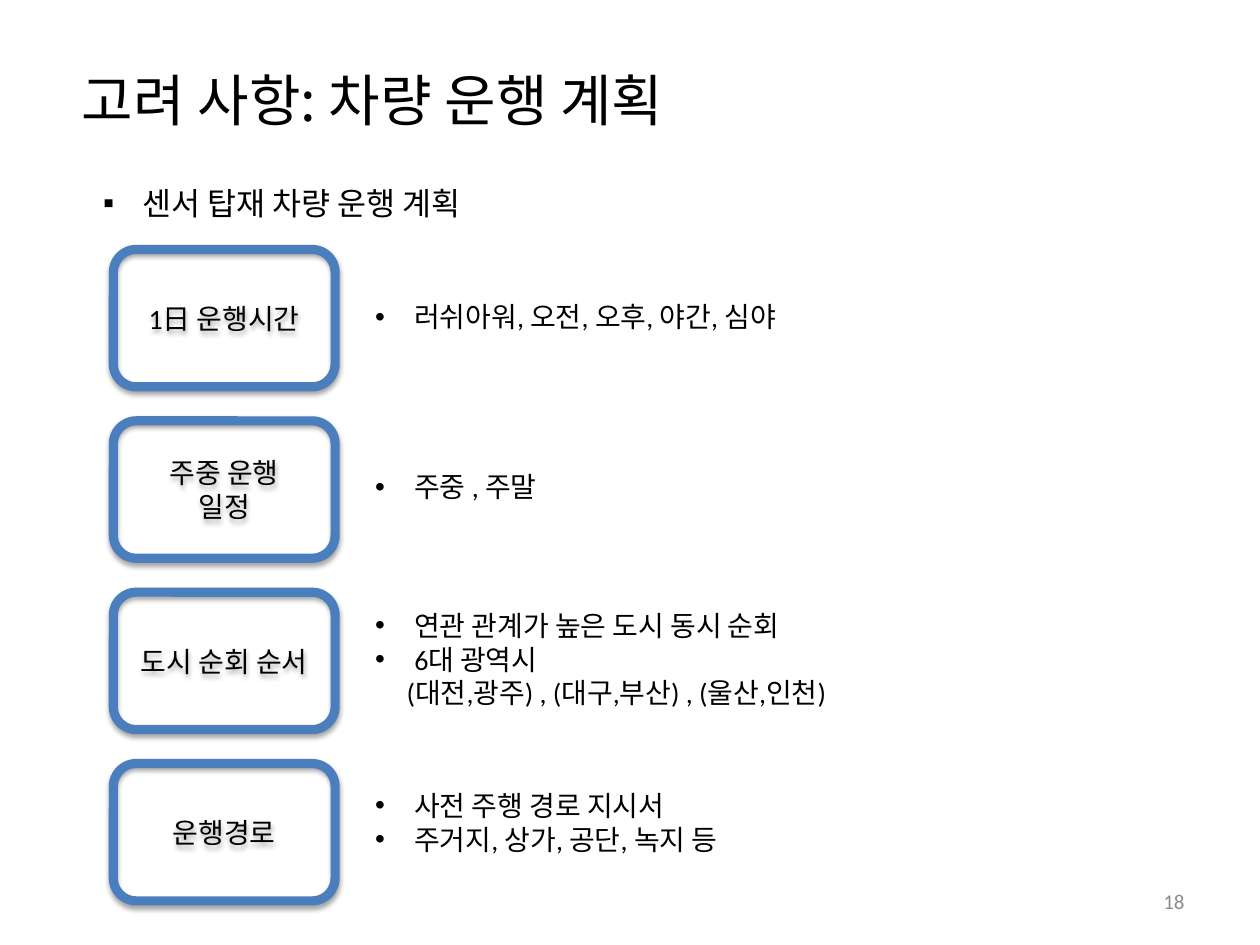
from lxml.etree import SubElement
from pptx import Presentation
from pptx.dml.color import RGBColor
from pptx.enum.shapes import MSO_SHAPE
from pptx.enum.text import MSO_ANCHOR, PP_ALIGN
from pptx.oxml.ns import qn
from pptx.util import Inches, Pt

THEME = {
    "black": RGBColor.from_string("000000"),
    "grey": RGBColor.from_string("8C8C8C"),
    "blue": RGBColor.from_string("4B7EBC"),
    "latin": "Calibri",
    "korean": "Noto Sans CJK KR",
    "title": Pt(32),
    "lead": Pt(18),
    "body": Pt(16),
    "number": Pt(12),
    "border": Pt(5.25),
}
LABEL_LEFT, LABEL_WIDTH, LABEL_HEIGHT = 0.9, 1.76, 1.09
FIRST_ROW, ROW_PITCH = 1.98, 1.36
DETAIL_LEFT, DETAIL_WIDTH = 2.88, 6.03
HANGING, CONTINUED = Inches(0.31), Inches(0.25)


def write(shape, lines, size, color="black", latin="latin", align=PP_ALIGN.LEFT,
          anchor=MSO_ANCHOR.MIDDLE):
    frame = shape.text_frame
    frame.word_wrap = True
    frame.vertical_anchor = anchor
    for index, (bullet, text) in enumerate(lines):
        para = frame.paragraphs[0] if index == 0 else frame.add_paragraph()
        para.alignment = align
        properties = para._p.get_or_add_pPr()
        if bullet == "continued":
            properties.set("marL", str(CONTINUED))
        elif bullet:
            properties.set("marL", str(HANGING))
            properties.set("indent", str(-HANGING))
            SubElement(properties, qn("a:buFont"), typeface="Arial")
            SubElement(properties, qn("a:buChar"), char=bullet)
        span = para.add_run()
        span.text = text
        formats = {"size": THEME[size], "name": THEME[latin]}
        for name, value in formats.items():
            setattr(span.font, name, value)
        span.font.color.rgb = THEME[color]
        SubElement(span._r.get_or_add_rPr(), qn("a:ea"), typeface=THEME["korean"])


def add_text(left, top, width, height, *args, **formats):
    box = page.shapes.add_textbox(Inches(left), Inches(top), Inches(width), Inches(height))
    write(box, *args, **formats)


deck = Presentation()
deck.slide_width, deck.slide_height = Inches(10), Inches(7.5)
page = deck.slides.add_slide(deck.slide_layouts[5])

title = page.shapes.title
placement = {"left": 0.55, "top": 0.37, "width": 8.55, "height": 0.83}
for name, value in placement.items():
    setattr(title, name, Inches(value))
write(title, [(None, "고려 사항: 차량 운행 계획")], "title", latin="korean")

add_text(0.72, 1.41, DETAIL_WIDTH, 0.4, [("▪", "센서 탑재 차량 운행 계획")], "lead",
         anchor=MSO_ANCHOR.TOP)

plans = [
    (["1日 운행시간"], 2.33, [("•", "러쉬아워, 오전, 오후, 야간, 심야")]),
    (["주중 운행", "일정"], 3.68, [("•", "주중 , 주말")]),
    (["도시 순회 순서"], 4.78, [
        ("•", "연관 관계가 높은 도시 동시 순회"),
        ("•", "6대 광역시"),
        ("continued", "(대전,광주) , (대구,부산) , (울산,인천)"),
    ]),
    (["운행경로"], 6.21, [("•", "사전 주행 경로 지시서"), ("•", "주거지, 상가, 공단, 녹지 등")]),
]

for row, (label, detail_top, details) in enumerate(plans):
    card = page.shapes.add_shape(
        MSO_SHAPE.ROUNDED_RECTANGLE, Inches(LABEL_LEFT), Inches(FIRST_ROW + row * ROW_PITCH),
        Inches(LABEL_WIDTH), Inches(LABEL_HEIGHT))
    card.fill.background()
    card.line.color.rgb = THEME["blue"]
    card.line.width = THEME["border"]
    card.shadow.inherit = False
    effects = card._element.spPr.find(qn("a:effectLst"))
    shadow = SubElement(effects, qn("a:outerShdw"), blurRad=str(Pt(3.1)), dist=str(Pt(1.8)),
                        dir="5400000", rotWithShape="0")
    shade = SubElement(shadow, qn("a:srgbClr"), val=str(THEME["black"]))
    SubElement(shade, qn("a:alpha"), val="35000")
    write(card, [(None, text) for text in label], "body", align=PP_ALIGN.CENTER)

    add_text(DETAIL_LEFT, detail_top, DETAIL_WIDTH, 0.1 + 0.27 * len(details), details, "body",
             anchor=MSO_ANCHOR.TOP)

add_text(7.17, 6.95, 2.33, 0.4, [(None, "18")], "number", color="grey", align=PP_ALIGN.RIGHT)

deck.save("out.pptx")
